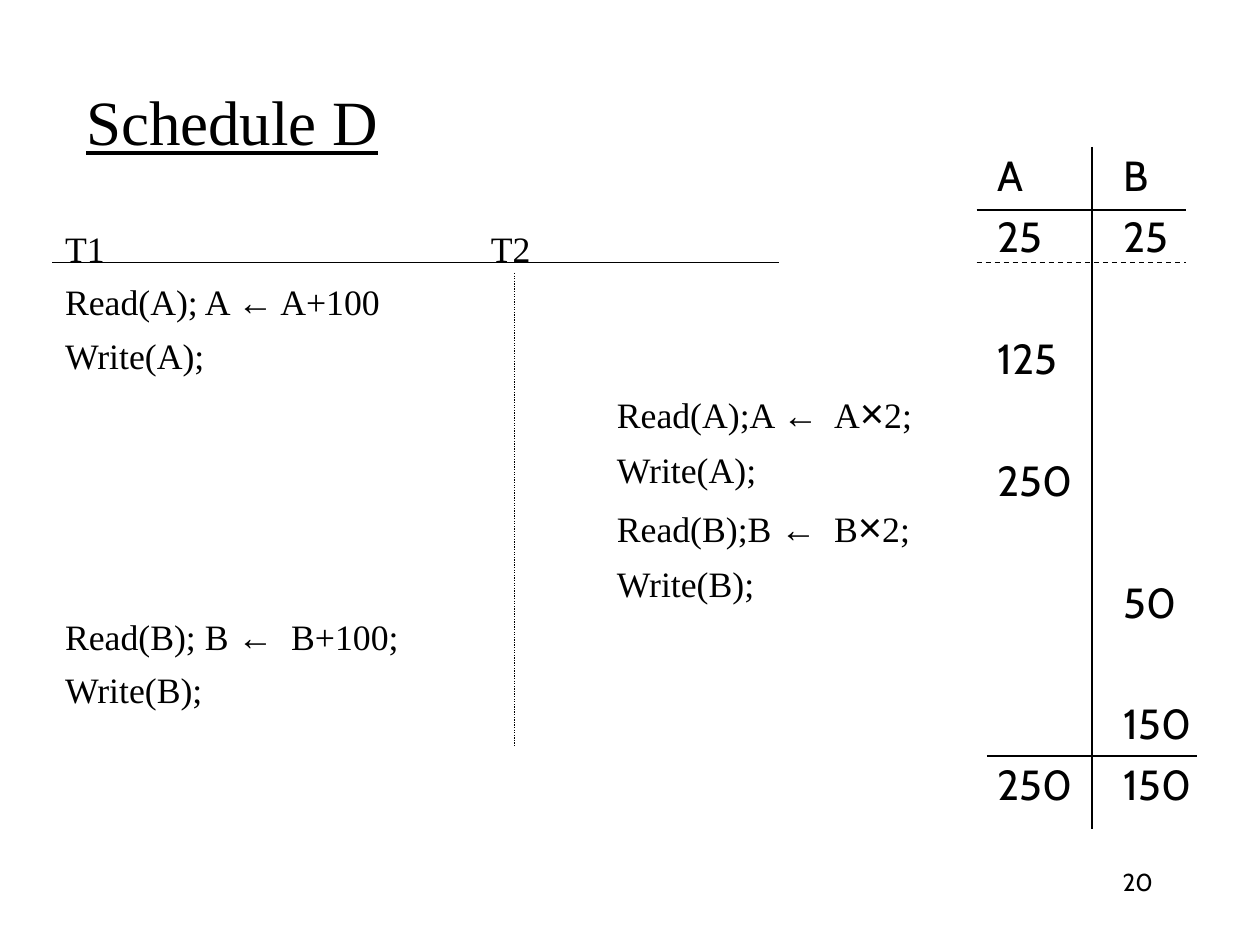
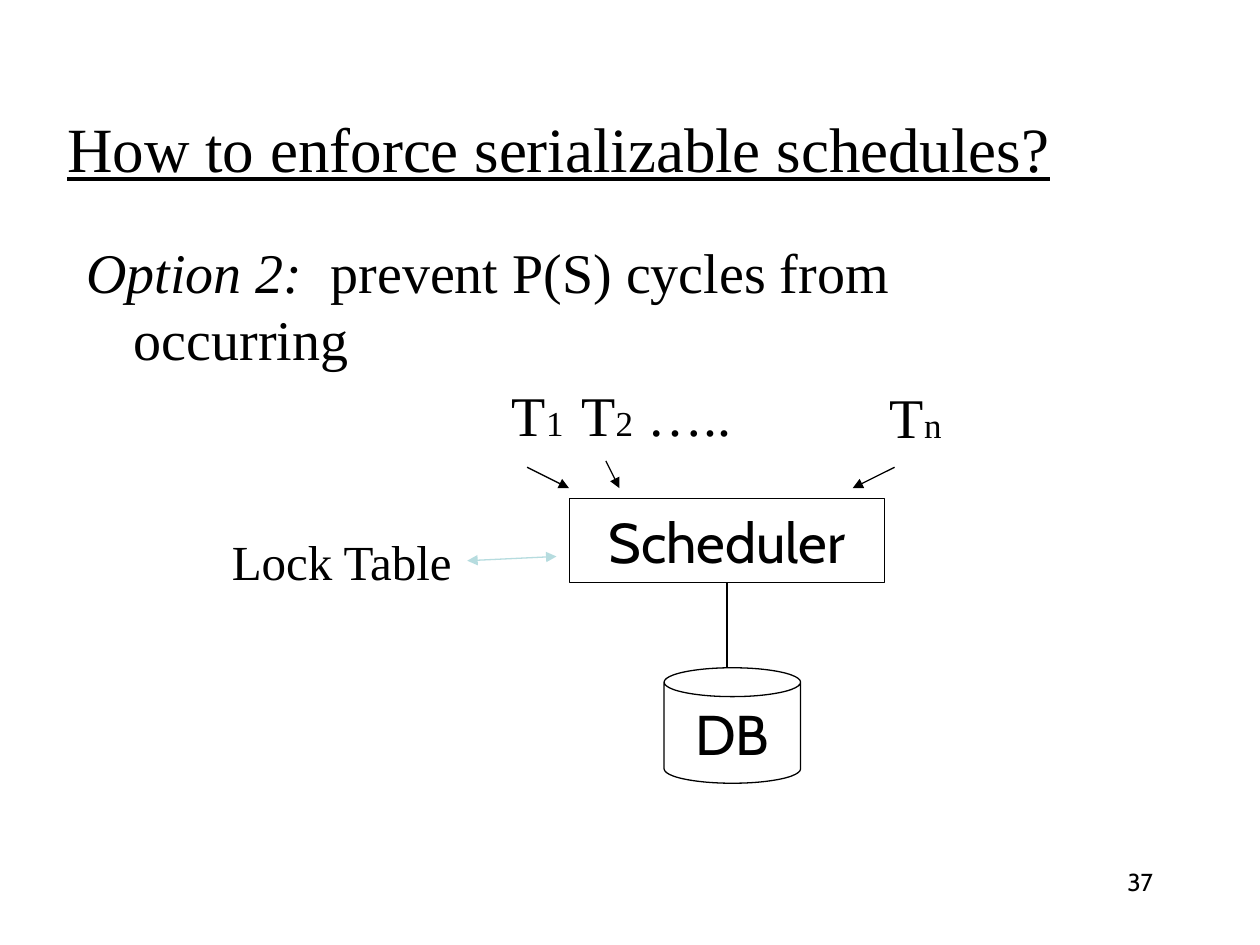
"""Builds two lecture slides on transaction schedules and serializability."""
from dataclasses import dataclass
from typing import NamedTuple

import pptx
import pptx.dml.color
import pptx.enum.dml
import pptx.enum.shapes
import pptx.enum.text
import pptx.oxml.ns
import pptx.util
from lxml import etree

BLACK = pptx.dml.color.RGBColor(0, 0, 0)
WHITE = pptx.dml.color.RGBColor(255, 255, 255)
PALE_TEAL = pptx.dml.color.RGBColor(0xB6, 0xDC, 0xDF)
SERIF, SANS, SYMBOL = "Times New Roman", "Cabin", "Arial"
WIDTH, HEIGHT = pptx.util.Inches(10), pptx.util.Inches(7.5)
COLUMNS, ROWS = 120, 90
STEP_SIZE = 20.4
VALUE_GAP, VALUE_PITCH = 6, 34.8
ALIGN = pptx.enum.text.PP_ALIGN
ANCHOR = pptx.enum.text.MSO_ANCHOR
DASH = pptx.enum.dml.MSO_LINE
SHAPE = pptx.enum.shapes.MSO_SHAPE


class Area(NamedTuple):
    """Left, top, width and height in grid columns and rows."""
    left: float
    top: float
    width: float
    height: float


class Run(NamedTuple):
    """A stretch of text with the format that differs from its box."""
    text: str
    size: float | None = None
    font: str | None = None
    italic: bool | None = None


@dataclass
class Para:
    """One paragraph; before is in points, indent and hang in inches."""
    runs: list[Run]
    before: float = 0
    indent: float = 0
    hang: float = 0


@dataclass
class Rule:
    """A straight line between two grid points."""
    start: tuple[float, float]
    end: tuple[float, float]
    color: pptx.dml.color.RGBColor = BLACK
    dash: pptx.enum.dml.MSO_LINE | None = None
    heads: tuple[str, ...] = ()


NUMBER_AREA = Area(86, 82, 25, 6)
VALUES_OF_A = {0: "A", 1: "25", 3: "125", 5: "250", 10: "250"}
VALUES_OF_B = {0: "B", 1: "25", 7: "50", 9: "150", 10: "150"}
SCHEDULE_RULES = [
    Rule((5, 25), (74.2, 25)),
    Rule((49, 26), (49, 71), dash=DASH.ROUND_DOT),
    Rule((93, 20), (113, 20)),
    Rule((93, 25), (113, 25), dash=DASH.DASH),
    Rule((104, 14), (104, 79)),
    Rule((94, 72), (114, 72)),
]
SCHEDULER_RULES = [
    Rule((50.2, 44.5), (54.2, 46.5), heads=("tailEnd",)),
    Rule((57.7, 43.9), (59, 46.5), heads=("tailEnd",)),
    Rule((85.2, 44.5), (81.2, 46.5), heads=("tailEnd",)),
    Rule((44.5, 53.4), (53, 53), PALE_TEAL, heads=("headEnd", "tailEnd")),
]


def x(columns: float) -> int:
    """Turn grid columns into a length."""
    return round(WIDTH * columns / COLUMNS)


def y(rows: float) -> int:
    """Turn grid rows into a length."""
    return round(HEIGHT * rows / ROWS)


def box(area: Area) -> tuple[int, int, int, int]:
    """Turn an area into lengths."""
    return x(area.left), y(area.top), x(area.width), y(area.height)


def write(frame, content: str | list[Para], *, size: float, font: str = SERIF,
          align=ALIGN.LEFT, anchor=ANCHOR.TOP, underline: bool = False,
          wrap: bool = True) -> None:
    """Fill a text frame with formatted paragraphs."""
    frame.word_wrap = wrap
    frame.auto_size = pptx.enum.text.MSO_AUTO_SIZE.NONE
    frame.vertical_anchor = anchor
    paras = [Para([Run(content)])] if isinstance(content, str) else content
    for index, para in enumerate(paras):
        line = frame.add_paragraph() if index else frame.paragraphs[0]
        line.alignment = align
        line.line_spacing = 1.0
        line.space_before = pptx.util.Pt(para.before)
        settings = line._p.get_or_add_pPr()
        settings.set("marL", str(pptx.util.Inches(para.indent)))
        settings.set("indent", str(pptx.util.Inches(-para.hang)))
        etree.SubElement(settings, pptx.oxml.ns.qn("a:buNone"))
        for part in para.runs:
            if part.text == "\v":
                line.add_line_break()
                continue
            run = line.add_run()
            run.text = part.text
            run.font.size = pptx.util.Pt(part.size or size)
            run.font.name = part.font or font
            run.font.italic = part.italic
            run.font.underline = underline or None
            run.font.color.rgb = BLACK


def place(placeholder, area: Area):
    """Move a placeholder to an area and return its text frame."""
    placeholder.left, placeholder.top, placeholder.width, placeholder.height = box(area)
    return placeholder.text_frame


def add_page(deck, title: str, title_area: Area, number: str):
    """Add a slide with its underlined title and its number."""
    page = deck.slides.add_slide(deck.slide_layouts[1])
    write(place(page.shapes.title, title_area), title, size=36,
          anchor=ANCHOR.MIDDLE, underline=True)
    add_label(page, number, NUMBER_AREA, size=14, font=SANS, align=ALIGN.RIGHT)
    return page


def add_label(page, content: str | list[Para], area: Area, **style) -> None:
    """Add a text box."""
    write(page.shapes.add_textbox(*box(area)).text_frame, content, **style)


def add_rule(page, rule: Rule):
    """Draw a thin line with its dash and arrowheads."""
    (x1, y1), (x2, y2) = rule.start, rule.end
    link = page.shapes.add_connector(pptx.enum.shapes.MSO_CONNECTOR.STRAIGHT,
                                     x(x1), y(y1), x(x2), y(y2))
    link.line.color.rgb = rule.color
    link.line.width = pptx.util.Pt(0.75)
    if rule.dash:
        link.line.dash_style = rule.dash
    for head in rule.heads:
        etree.SubElement(link.line._get_or_add_ln(),
                         pptx.oxml.ns.qn(f"a:{head}"), type="triangle")
    etree.SubElement(link._element.spPr, pptx.oxml.ns.qn("a:effectLst"))
    return link


def add_node(page, kind, text: str, area: Area):
    """Draw an outlined white shape with a centred label."""
    node = page.shapes.add_shape(kind, *box(area))
    node.shadow.inherit = False
    node.fill.solid()
    node.fill.fore_color.rgb = WHITE
    node.line.color.rgb = BLACK
    node.line.width = pptx.util.Pt(0.75)
    write(node.text_frame, text, size=32, font=SANS, align=ALIGN.CENTER,
          anchor=ANCHOR.MIDDLE, wrap=False)
    return node


def transaction(read: str, result: list[Run], item: str, indent: float = 0) -> list[Para]:
    """Give the read and write steps of a transaction on one item."""
    return [Para([Run(read), Run("←", font=SYMBOL), *result], 6, indent),
            Para([Run(f"Write({item});")], 6, indent)]


def doubled(item: str) -> list[Para]:
    """Give the steps of T2, which doubles an item."""
    result = [Run(f"  {item}"), Run("×", 23.8, SYMBOL), Run("2;")]
    return transaction(f"Read({item});{item} ", result, item, 4.38)


def value_column(values: dict[int, str]) -> list[Para]:
    """Space values so that each falls on its row."""
    paras, previous = [], 0
    for row, value in values.items():
        gap = VALUE_GAP + VALUE_PITCH * (row - previous - 1) if row else 0
        paras.append(Para([Run(value)], gap))
        previous = row
    return paras


def build_schedule(deck) -> None:
    """Build the interleaved schedule with the values of A and B."""
    page = add_page(deck, "Schedule D", Area(7, 4, 102, 15), "20")
    steps = [Para([Run("T1")]),
             *transaction("Read(A); A ", [Run(" A+100")], "A"),
             *doubled("A"), *doubled("B"),
             *transaction("Read(B); B ", [Run("  B+100;")], "B")]
    write(place(page.placeholders[1], Area(5, 21, 86, 57)), steps, size=STEP_SIZE)
    add_label(page, "T2", Area(45.56, 21, 8, 5), size=STEP_SIZE)
    for index, values in enumerate((VALUES_OF_A, VALUES_OF_B)):
        add_label(page, value_column(values),
                  Area(93.84 + 12 * index, 13.68, 12, 64.08), size=24, font=SANS)
    for rule in SCHEDULE_RULES:
        add_rule(page, rule)


def build_scheduler(deck) -> None:
    """Build the scheduler diagram with its lock table and database."""
    page = add_page(deck, "How to enforce serializable schedules?",
                    Area(5.2, 6.5, 105, 15), "37")
    option = Para([Run("Option 2:", italic=True),
                   Run("  prevent P(S) cycles from"), Run("\v"), Run("occurring")],
                  indent=0.38, hang=0.38)
    first_transactions = Para([Run("T"), Run("1  ", 20), Run("T"), Run("2", 20),
                               Run(" …..")], 5, indent=3.38)
    last_transaction = [Para([Run("T"), Run("n", 20)])]
    write(place(page.placeholders[1], Area(7, 22, 107.76, 54)),
          [option, first_transactions], size=32)
    add_label(page, last_transaction, Area(83.56, 35.8, 10, 7.5), size=32)
    scheduler = add_node(page, SHAPE.RECTANGLE, "Scheduler", Area(54.25, 47.5, 30, 8))
    database = add_node(page, SHAPE.CAN, "DB", Area(63.25, 63.6, 13, 11))
    database.adjustments[0] = 0.25
    storage = add_rule(page, Rule((69.25, 55.5), (69.25, 63.6)))
    storage.begin_connect(scheduler, 2)
    add_label(page, "Lock Table", Area(20.9, 50, 23.8, 6.8), size=28)
    for rule in SCHEDULER_RULES:
        add_rule(page, rule)


def main() -> None:
    """Build and save the presentation."""
    deck = pptx.Presentation()
    deck.slide_width, deck.slide_height = WIDTH, HEIGHT
    build_schedule(deck)
    build_scheduler(deck)
    deck.save("out.pptx")


if __name__ == "__main__":
    main()
